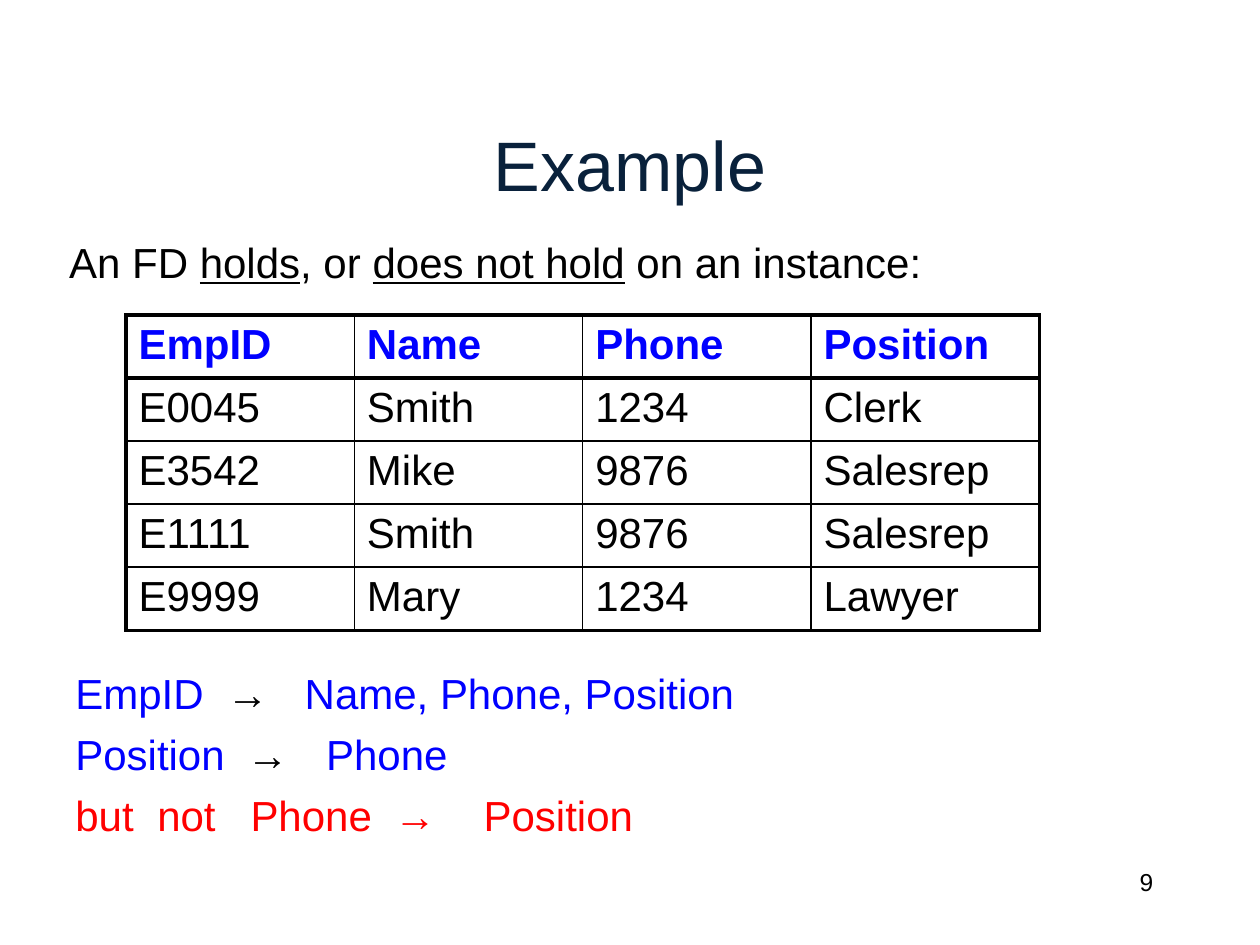
"""Build the slide showing functional dependencies on an employee table."""
from lxml.etree import SubElement
from pptx import Presentation
from pptx.dml.color import RGBColor
from pptx.enum.text import MSO_ANCHOR, PP_ALIGN
from pptx.oxml.ns import qn
from pptx.util import Inches, Pt

BLACK = RGBColor(0, 0, 0)
BLUE = RGBColor(0, 0, 255)
RED = RGBColor(255, 0, 0)
NAVY = RGBColor(9, 33, 59)
FONT = "Arial"
THIN, THICK = 1, 2.25

INTRO = [("An FD ", {}), ("holds", {"underline": True}), (", or ", {}),
         ("does not hold", {"underline": True}), (" on an instance:", {})]
EMPLOYEES = [
    ("EmpID", "Name", "Phone", "Position"),
    ("E0045", "Smith", "1234", "Clerk"),
    ("E3542", "Mike", "9876", "Salesrep"),
    ("E1111", "Smith", "9876", "Salesrep"),
    ("E9999", "Mary", "1234", "Lawyer"),
]
DEPENDENCIES = [
    ([("EmpID\t", {}), ("→\t", {"color": BLACK}), ("Name, Phone, Position", {})],
     BLUE, (1.2, 1.82)),
    ([("Position\t", {}), ("→\t", {"color": BLACK}), ("Phone", {})],
     BLUE, (1.36, 1.99)),
    ([("but\tnot\tPhone\t→\tPosition", {})], RED, (0.65, 1.39, 2.53, 3.24)),
]


def write(paragraph, runs, size=24, color=BLACK, bold=False, align=PP_ALIGN.LEFT,
          tabs=(), space_before=0):
    """Fill a paragraph with a string or a list of (text, changes) runs."""
    if tabs:
        tab_list = SubElement(paragraph._p.get_or_add_pPr(), qn("a:tabLst"))
        for position in tabs:
            SubElement(tab_list, qn("a:tab"), pos=str(Inches(position)), algn="l")
    paragraph.alignment = align
    paragraph.space_before = Pt(space_before)
    for text, changes in [(runs, {})] if isinstance(runs, str) else runs:
        run = paragraph.add_run()
        run.text = text
        run.font.name = FONT
        run.font.size = Pt(size)
        run.font.bold = bold
        run.font.underline = changes.get("underline", False)
        run.font.color.rgb = changes.get("color", color)


def add_text_frame(slide, left, top, width, height, anchor=MSO_ANCHOR.TOP, wrap=True):
    """Add a text box and return its frame."""
    box = slide.shapes.add_textbox(Inches(left), Inches(top), Inches(width), Inches(height))
    box.text_frame.word_wrap = wrap
    box.text_frame.vertical_anchor = anchor
    return box.text_frame


def set_borders(cell, widths):
    """Draw black cell borders in the order left, right, top, bottom."""
    properties = cell._tc.get_or_add_tcPr()
    for index, (side, width) in enumerate(zip("LRTB", widths)):
        line = SubElement(properties, qn(f"a:ln{side}"), w=str(Pt(width)))
        fill = SubElement(line, qn("a:solidFill"))
        SubElement(fill, qn("a:srgbClr"), val=str(BLACK))
        properties.insert(index, line)


def add_employee_table(slide, left, top, width, height):
    """Add the employee table with a heavy frame and header rule."""
    row_count, column_count = len(EMPLOYEES), len(EMPLOYEES[0])
    table = slide.shapes.add_table(row_count, column_count, Inches(left), Inches(top),
                                   Inches(width), Inches(height)).table
    table.first_row = table.horz_banding = False
    for r, values in enumerate(EMPLOYEES):
        for c, value in enumerate(values):
            cell = table.cell(r, c)
            cell.fill.background()
            write(cell.text_frame.paragraphs[0], value,
                  color=BLACK if r else BLUE, bold=r == 0)
            heavy = (c == 0, c == column_count - 1, r <= 1, r in (0, row_count - 1))
            set_borders(cell, [THICK if edge else THIN for edge in heavy])


def main():
    """Compose and save the slide."""
    presentation = Presentation()
    presentation.slide_width, presentation.slide_height = Inches(10), Inches(7.5)
    slide = presentation.slides.add_slide(presentation.slide_layouts[6])

    number = add_text_frame(slide, 7.17, 6.83, 2.08, 0.5)
    write(number.paragraphs[0], "9", size=14, align=PP_ALIGN.RIGHT)
    title = add_text_frame(slide, 0.75, 0.67, 8.5, 1.25, anchor=MSO_ANCHOR.MIDDLE)
    write(title.paragraphs[0], "Example", size=40, color=NAVY, align=PP_ALIGN.CENTER)
    intro = add_text_frame(slide, 0.45, 1.83, 7.05, 0.5, wrap=False)
    write(intro.paragraphs[0], INTRO)
    add_employee_table(slide, 1, 2.5, 7.25, 2.5)

    body = add_text_frame(slide, 0.5, 5.25, 8.5, 1.58)
    for index, (runs, color, tabs) in enumerate(DEPENDENCIES):
        paragraph = body.add_paragraph() if index else body.paragraphs[0]
        write(paragraph, runs, color=color, tabs=tabs, space_before=6 if index else 0)

    presentation.save("out.pptx")


if __name__ == "__main__":
    main()
